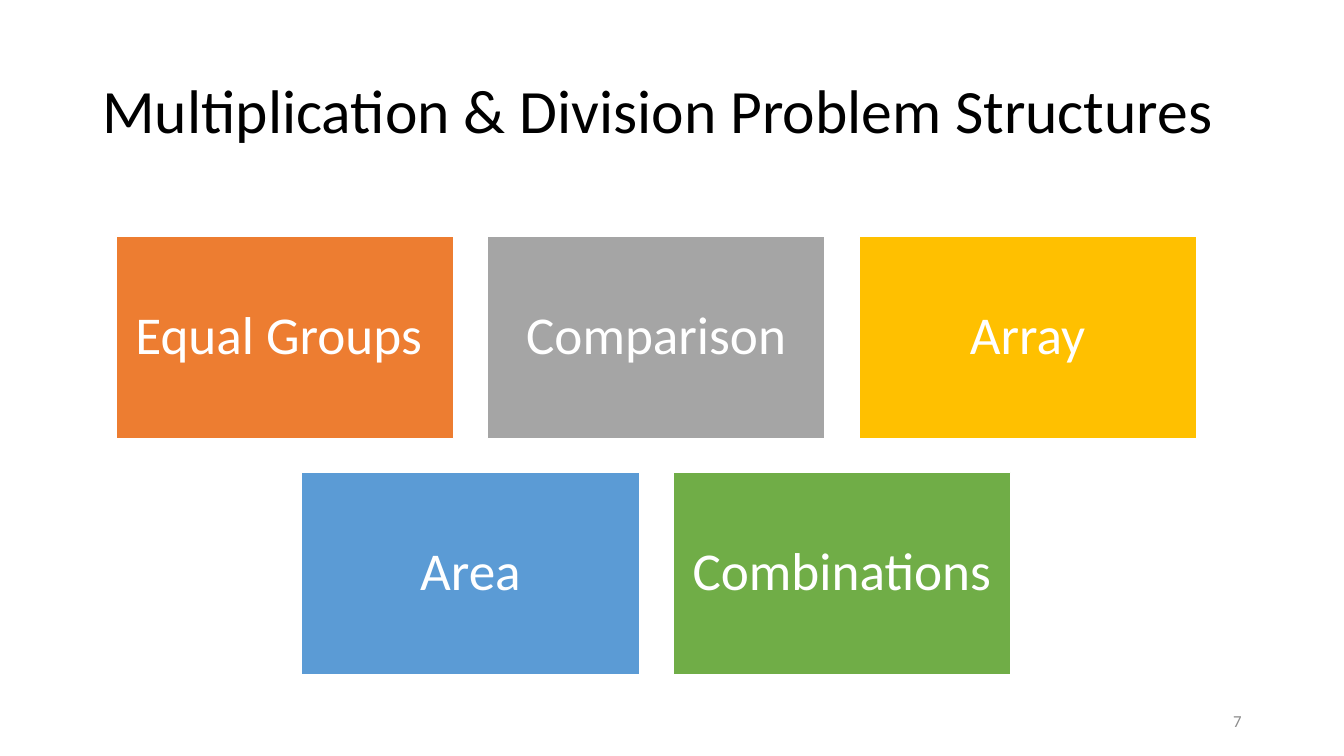
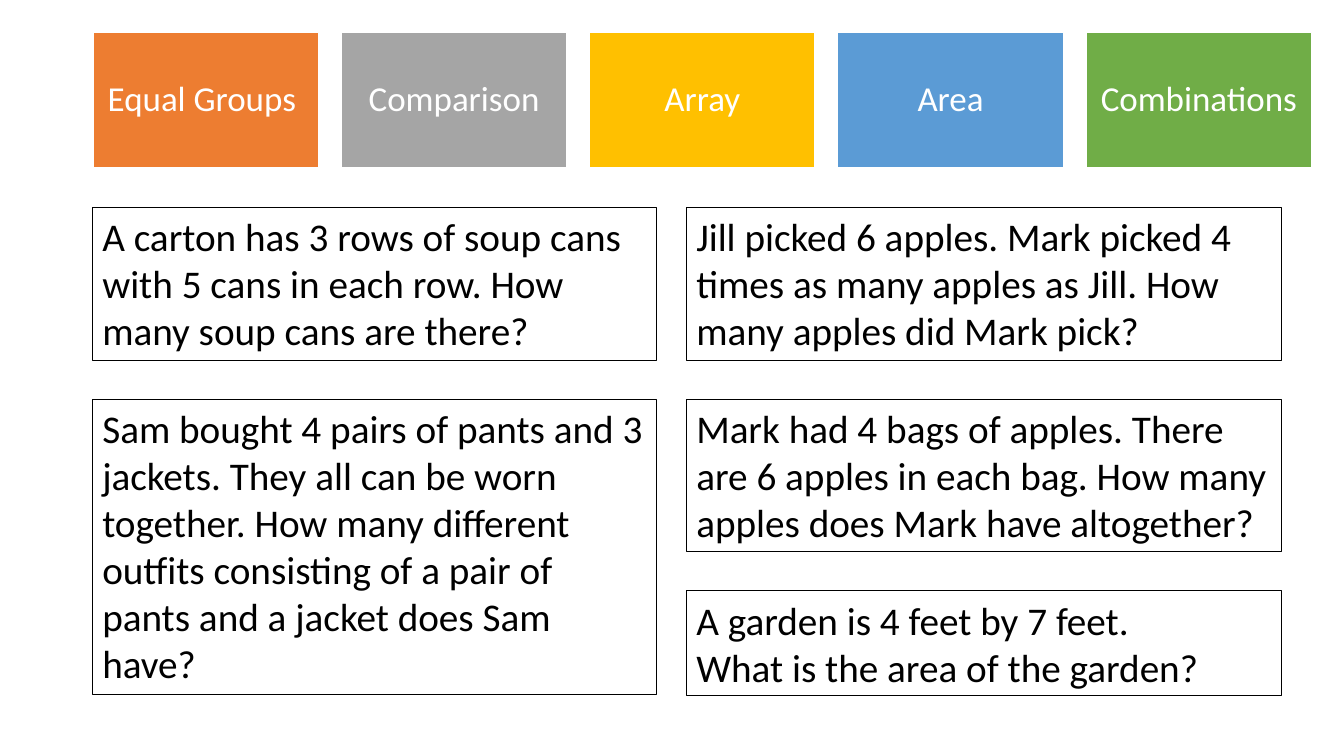
import dataclasses

import pptx
import pptx.dml.color
import pptx.enum.shapes
import pptx.enum.text
import pptx.util

Pt = pptx.util.Pt
Align = pptx.enum.text.PP_ALIGN
Anchor = pptx.enum.text.MSO_ANCHOR
AutoSize = pptx.enum.text.MSO_AUTO_SIZE


@dataclasses.dataclass(frozen=True)
class Theme:
    font: str = "Calibri"
    ink: str = "000000"
    paper: str = "FFFFFF"
    muted: str = "8C8C8C"
    title_size: float = 44
    problem_size: float = 28
    number_size: float = 12
    overview_tile_size: float = 38
    header_tile_size: float = 25


THEME = Theme()

# Problem structures and their colours
STRUCTURES = [
    ("Equal Groups ", "ED7D31"),
    ("Comparison", "A5A5A5"),
    ("Array", "FFC000"),
    ("Area", "5B9BD5"),
    ("Combinations", "70AD47"),
]

# Word problems: lines occupied in the box, then the paragraphs
LEFT_PROBLEMS = [
    (3, ["A carton has 3 rows of soup cans with 5 cans in each row. "
         "How many soup cans are there?"]),
    (6, ["Sam bought 4 pairs of pants and 3 jackets. They all can be worn "
         "together. How many different outfits consisting of a pair of pants "
         "and a jacket does Sam have?"]),
]
RIGHT_PROBLEMS = [
    (3, ["Jill picked 6 apples. Mark picked 4 times as many apples as Jill. "
         "How many apples did Mark pick?"]),
    (3, ["Mark had 4 bags of apples. There are 6 apples in each bag. "
         "How many apples does Mark have altogether?"]),
    (2, ["A garden is 4 feet by 7 feet.", "What is the area of the garden?"]),
]


def rgb(value):
    return pptx.dml.color.RGBColor.from_string(value)


def write_text(shape, paragraphs, size, color, align=Align.LEFT,
               anchor=Anchor.TOP, spacing=None):
    frame = shape.text_frame
    frame.word_wrap = True
    frame.vertical_anchor = anchor
    for index, text in enumerate(paragraphs):
        paragraph = frame.add_paragraph() if index else frame.paragraphs[0]
        paragraph.alignment = align
        if spacing:
            paragraph.line_spacing = spacing
        run = paragraph.add_run()
        run.text = text
        run.font.name = THEME.font
        run.font.size = Pt(size)
        run.font.color.rgb = rgb(color)
    return frame


def add_label(slide, box, text, size, color, align=Align.LEFT, spacing=None):
    shape = slide.shapes.add_textbox(*map(Pt, box))
    write_text(shape, [text], size, color, align, Anchor.MIDDLE, spacing)


def add_rectangle(slide, box, line_color, line_width, fill=None):
    shape = slide.shapes.add_shape(
        pptx.enum.shapes.MSO_SHAPE.RECTANGLE, *map(Pt, box))
    shape.shadow.inherit = False
    if fill:
        shape.fill.solid()
        shape.fill.fore_color.rgb = rgb(fill)
    else:
        shape.fill.background()
    shape.line.color.rgb = rgb(line_color)
    shape.line.width = Pt(line_width)
    return shape


def add_tile_grid(slide, left, top, width, columns, size):
    """Rows of structure tiles; a short last row is centred."""
    height, gap = 0.6 * width, 0.1 * width
    for index, (name, color) in enumerate(STRUCTURES):
        row, column = divmod(index, columns)
        in_row = min(columns, len(STRUCTURES) - row * columns)
        indent = (columns - in_row) * (width + gap) / 2
        box = (left + indent + column * (width + gap),
               top + row * (height + gap), width, height)
        tile = add_rectangle(slide, box, THEME.paper, 1, color)
        frame = write_text(tile, [name], size, THEME.paper,
                           Align.CENTER, Anchor.MIDDLE, 0.9)
        inset = Pt(0.3 * size)
        frame.margin_left = frame.margin_right = inset
        frame.margin_top = frame.margin_bottom = inset


def add_problem_column(slide, left, width, problems):
    """Outlined word problems stacked with equal gaps."""
    top, gap, line_height, padding = 148.3, 28, 33.9, 7.2
    for lines, paragraphs in problems:
        height = lines * line_height + padding
        box = add_rectangle(slide, (left, top, width, height), THEME.ink, 0.75)
        frame = write_text(box, paragraphs, THEME.problem_size, THEME.ink)
        frame.auto_size = AutoSize.SHAPE_TO_FIT_TEXT
        top += height + gap


def build_overview(slide):
    add_label(slide, (66, 28.75, 828, 104.5),
              "Multiplication & Division Problem Structures",
              THEME.title_size, THEME.ink, spacing=0.9)
    add_tile_grid(slide, 82.8, 168.5, 241.2, 3, THEME.overview_tile_size)
    add_label(slide, (678, 500.5, 216, 28.75), "7",
              THEME.number_size, THEME.muted, Align.RIGHT)


def build_problems(slide):
    add_problem_column(slide, 66, 403.2, LEFT_PROBLEMS)
    add_problem_column(slide, 490.3, 424.8, RIGHT_PROBLEMS)
    add_tile_grid(slide, 66.4, 23.3, 161.2, len(STRUCTURES),
                  THEME.header_tile_size)


def main():
    presentation = pptx.Presentation()
    presentation.slide_width = Pt(960)
    presentation.slide_height = Pt(540)
    blank = presentation.slide_layouts[6]
    for build in (build_overview, build_problems):
        build(presentation.slides.add_slide(blank))
    presentation.save("out.pptx")


if __name__ == "__main__":
    main()
